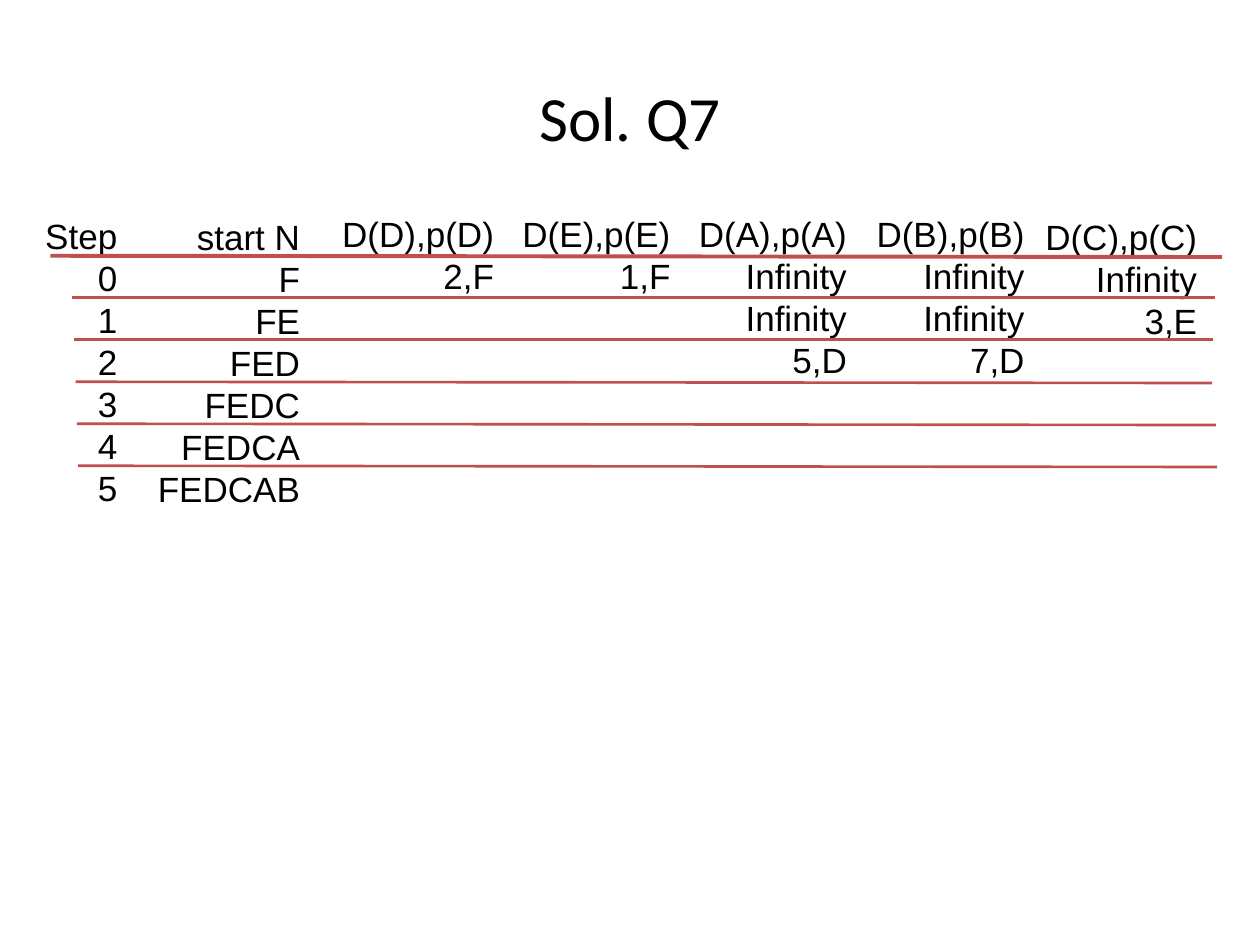
from dataclasses import dataclass

from lxml import etree
from pptx import Presentation
from pptx import util as u
from pptx.dml.color import RGBColor
from pptx.enum import shapes, text
from pptx.oxml import ns


@dataclass(frozen=True)
class Theme:
    ink: RGBColor = RGBColor(0, 0, 0)
    rule: RGBColor = RGBColor(0xC0, 0x50, 0x4D)
    head: str = "Calibri"
    body: str = "Arial"
    head_size: int = 36
    body_size: int = 20
    thick: float = 2.25
    thin: float = 1.5


THEME = Theme()
WIDTH, HEIGHT = 10, 7.5
TOP = 1.64  # top of the columns
RULE = 2.03  # first rule
PITCH = 1 / 3  # height of one row

# left, drop below TOP, width, height, entries
COLUMNS = [
    (0.26, 0.01, 0.77, 2.43, ["Step", "0", "1", "2", "3", "4", "5"]),
    (1.14, 0.02, 1.34, 3.8,
     ["start N", "F", "FE", "FED", "FEDC", "FEDCA", "FEDCAB"]),
    (2.6, 0, 1.42, 1.11, ["D(D),p(D)", "2,F"]),
    (4.03, 0, 1.39, 0.77, ["D(E),p(E)", "1,F"]),
    (5.43, 0, 1.39, 1.45, ["D(A),p(A)", "Infinity", "Infinity", "5,D"]),
    (6.84, 0, 1.39, 1.45, ["D(B),p(B)", "Infinity", "Infinity", "7,D"]),
    (8.18, 0.02, 1.42, 1.11, ["D(C),p(C)", "Infinity", "3,E"]),
]

# left end, right end, fall from left to right
RULES = [
    (0.4, 9.7, 0.01),
    (0.57, 9.64, 0),
    (0.59, 9.63, 0),
    (0.6, 9.62, 0.01),
    (0.61, 9.65, 0.01),
    (0.62, 9.66, 0.01),
]


def add_text(slide, area, lines, font, size, align):
    box = slide.shapes.add_textbox(*map(u.Inches, area))
    frame = box.text_frame
    frame.text = "\n".join(lines)
    for para in frame.paragraphs:
        para.alignment = align
        for run in para.runs:
            run.font.name = font
            run.font.size = u.Pt(size)
            run.font.color.rgb = THEME.ink
    return frame


def add_title(slide, title):
    area = (0.05 * WIDTH, 0.04 * HEIGHT, 0.9 * WIDTH, HEIGHT / 6)
    frame = add_text(slide, area, [title], THEME.head, THEME.head_size,
                     text.PP_ALIGN.CENTER)
    frame.word_wrap = True
    frame.vertical_anchor = text.MSO_ANCHOR.MIDDLE


def add_column(slide, left, drop, width, height, lines):
    frame = add_text(slide, (left, TOP + drop, width, height), lines,
                     THEME.body, THEME.body_size, text.PP_ALIGN.RIGHT)
    frame.word_wrap = False
    frame.auto_size = text.MSO_AUTO_SIZE.SHAPE_TO_FIT_TEXT


def add_rule(slide, row, left, right, fall):
    y = RULE + row * PITCH
    ends = map(u.Inches, (left, y, right, y + fall))
    line = slide.shapes.add_connector(shapes.MSO_CONNECTOR.STRAIGHT, *ends)
    line.line.color.rgb = THEME.rule
    line.line.width = u.Pt(THEME.thin if row else THEME.thick)
    etree.SubElement(line._element.spPr, ns.qn("a:effectLst"))


def main():
    deck = Presentation()
    deck.slide_width = u.Inches(WIDTH)
    deck.slide_height = u.Inches(HEIGHT)
    slide = deck.slides.add_slide(deck.slide_layouts[6])
    add_title(slide, "Sol. Q7")
    for column in COLUMNS:
        add_column(slide, *column)
    for row, rule in enumerate(RULES):
        add_rule(slide, row, *rule)
    deck.save("out.pptx")


if __name__ == "__main__":
    main()
